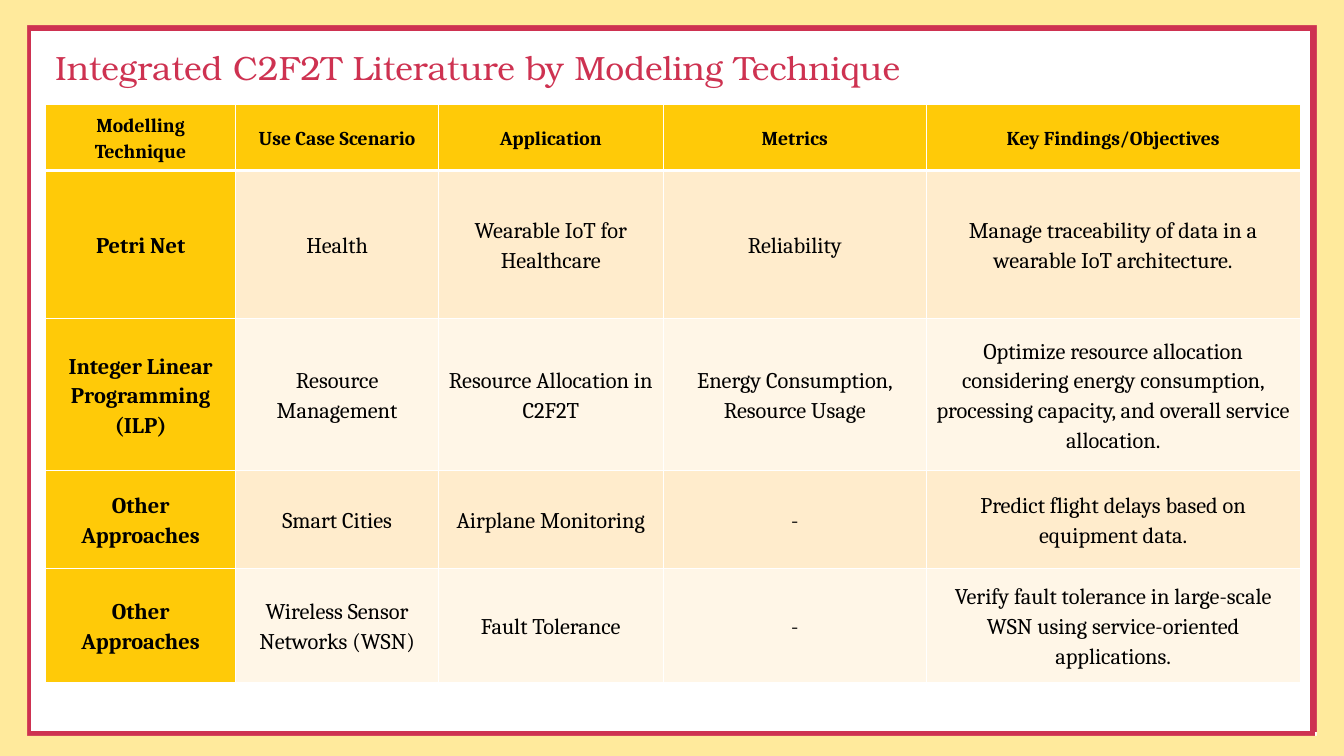
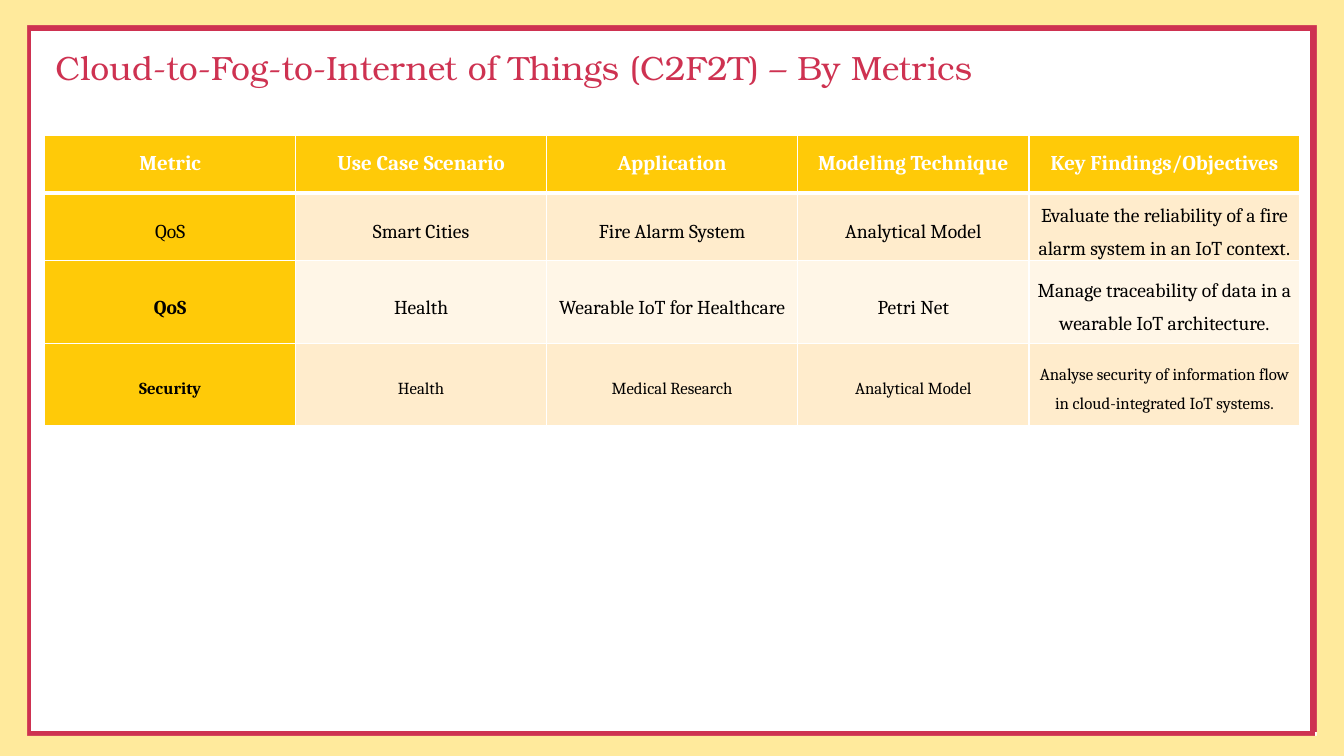
from dataclasses import dataclass

from lxml import etree
from pptx import Presentation
from pptx.dml.color import RGBColor
from pptx.enum.shapes import MSO_CONNECTOR, MSO_SHAPE
from pptx.enum.text import MSO_ANCHOR, MSO_AUTO_SIZE, PP_ALIGN
from pptx.oxml.ns import qn
from pptx.util import Pt

LINE, RECT = MSO_CONNECTOR.STRAIGHT, MSO_SHAPE.RECTANGLE
MIDDLE, NO_FIT = MSO_ANCHOR.MIDDLE, MSO_AUTO_SIZE.NONE
LEFT, CENTER = PP_ALIGN.LEFT, PP_ALIGN.CENTER

RED = RGBColor(0xCE, 0x32, 0x51)
CREAM = RGBColor(0xFF, 0xEA, 0x9C)
GOLD = RGBColor(0xFF, 0xCA, 0x08)
BAND_DARK = RGBColor(0xFF, 0xEC, 0xCC)
BAND_LIGHT = RGBColor(0xFF, 0xF6, 0xE7)
WHITE = RGBColor(0xFF, 0xFF, 0xFF)
BLACK = RGBColor(0, 0, 0)

TITLE_FONT, TABLE_FONT = "TeX Gyre Bonum", "Cambria"
SLIDE_W, SLIDE_H = 960, 540

# Slide edge bands: left, top, width, height
BANDS = [
    (0, 0, SLIDE_W, 18),
    (0, 525.6, SLIDE_W, 14.4),
    (940.6, 18, 19.4, 507.6),
    (0, 18, 19.4, 507.6),
]
# Red frame: x1, y1, x2, y2
FRAME = [
    (18.7, 524.2, 939.6, 524.2),
    (20.2, 20.2, 20.2, 525.6),
    (19.4, 20.2, 940.3, 20.2),
    (938.2, 17.3, 938.2, 522.7),
]


@dataclass
class Row:
    height: float
    size: float
    texts: list[str]
    bold_first: bool = True


@dataclass
class TableSlide:
    title: str
    left: float
    top: float
    widths: list[float]
    header_color: RGBColor
    header_spacing: float
    body_spacing: float
    rows: list[Row]


SLIDES = [
    TableSlide(
        "Integrated C2F2T Literature by Modeling Technique",
        32.4, 74.9, [136.1, 144.7, 160.6, 187.9, 267.1], BLACK, 1.15, 1.15,
        [
            Row(46.8, 14, ["Modelling Technique", "Use Case Scenario", "Application",
                           "Metrics", "Key Findings/Objectives"]),
            Row(105.8, 16, ["Petri Net", "Health", "Wearable IoT for Healthcare", "Reliability",
                            "Manage traceability of data in a wearable IoT architecture."]),
            Row(108.7, 16, ["Integer Linear Programming (ILP)", "Resource Management",
                            "Resource Allocation in C2F2T",
                            "Energy Consumption, Resource Usage",
                            "Optimize resource allocation considering energy consumption, "
                            "processing capacity, and overall service allocation."]),
            Row(69.8, 16, ["Other Approaches", "Smart Cities", "Airplane Monitoring", "-",
                           "Predict flight delays based on equipment data."]),
            Row(81.4, 16, ["Other Approaches", "Wireless Sensor Networks (WSN)",
                           "Fault Tolerance", "-",
                           "Verify fault tolerance in large-scale WSN using "
                           "service-oriented applications."]),
        ],
    ),
    TableSlide(
        "Cloud-to-Fog-to-Internet of Things (C2F2T) – By Metrics",
        31.9, 96.4, [179.3, 179.3, 179.3, 165.3, 193.5], WHITE, 1.0, 1.5,
        [
            Row(41.5, 15, ["Metric", "Use Case Scenario", "Application",
                           "Modeling Technique", "Key Findings/Objectives"]),
            Row(47.5, 14, ["QoS", "Smart Cities", "Fire Alarm System", "Analytical Model",
                           "Evaluate the reliability of a fire alarm system in an IoT context."],
                bold_first=False),
            Row(59, 14, ["QoS", "Health", "Wearable IoT for Healthcare", "Petri Net",
                         "Manage traceability of data in a wearable IoT architecture."]),
            Row(59, 12, ["Security", "Health", "Medical Research", "Analytical Model",
                         "Analyse security of information flow in cloud-integrated "
                         "IoT systems."]),
        ],
    ),
]


def add_frame(s) -> None:
    """Draw the red frame and the cream bands around the slide."""
    for ends in FRAME:
        line = s.shapes.add_connector(LINE, *map(Pt, ends))
        line.line.color.rgb = RED
        line.line.width = Pt(4.5)
        etree.SubElement(line._element.spPr, qn("a:effectLst"))
    for box in BANDS:
        band = s.shapes.add_shape(RECT, *map(Pt, box))
        band.shadow.inherit = False
        band.fill.solid()
        band.fill.fore_color.rgb = CREAM
        band.line.fill.background()


def set_title(s, text: str) -> None:
    sp = s.shapes.title
    sp.left, sp.top, sp.width, sp.height = Pt(32.4), Pt(25.2), Pt(896.4), Pt(49.7)
    tf = sp.text_frame
    tf.text = text
    tf.auto_size = NO_FIT
    tf.vertical_anchor = MIDDLE
    p = tf.paragraphs[0]
    p.alignment = LEFT
    p.line_spacing = 0.9
    p.font.name, p.font.size, p.font.color.rgb = TITLE_FONT, Pt(24), RED


def set_borders(cell, bottom: float) -> None:
    """White borders, 1 pt except for the given bottom width."""
    tc_pr = cell._tc.get_or_add_tcPr()
    for side, width in (("L", 1), ("R", 1), ("T", 1), ("B", bottom)):
        ln = etree.SubElement(tc_pr, qn(f"a:ln{side}"), w=str(Pt(width)))
        fill = etree.SubElement(ln, qn("a:solidFill"))
        etree.SubElement(fill, qn("a:srgbClr"), val=str(WHITE))


def add_table(s, spec: TableSlide) -> None:
    frame = s.shapes.add_table(
        len(spec.rows), len(spec.widths), Pt(spec.left), Pt(spec.top),
        Pt(sum(spec.widths)), Pt(sum(row.height for row in spec.rows)))
    table = frame.table
    for column, width in zip(table.columns, spec.widths):
        column.width = Pt(width)

    for i, row in enumerate(spec.rows):
        table.rows[i].height = Pt(row.height)
        header = i == 0
        band = BAND_DARK if i % 2 else BAND_LIGHT
        for j, text in enumerate(row.texts):
            cell = table.cell(i, j)
            set_borders(cell, 3 if header else 1)
            cell.fill.solid()
            cell.fill.fore_color.rgb = GOLD if header or j == 0 else band
            cell.vertical_anchor = MIDDLE
            cell.margin_left = cell.margin_right = Pt(5)
            cell.margin_top = cell.margin_bottom = 0
            cell.text = text
            p = cell.text_frame.paragraphs[0]
            p.alignment = CENTER
            p.line_spacing = spec.header_spacing if header else spec.body_spacing
            if not header:
                p.space_after = Pt(8)
            p.font.name, p.font.size = TABLE_FONT, Pt(row.size)
            p.font.bold = header or (j == 0 and row.bold_first)
            p.font.color.rgb = spec.header_color if header else BLACK


def main() -> None:
    prs = Presentation()
    prs.slide_width, prs.slide_height = Pt(SLIDE_W), Pt(SLIDE_H)
    title_only = prs.slide_layouts[5]
    for spec in SLIDES:
        s = prs.slides.add_slide(title_only)
        add_frame(s)
        set_title(s, spec.title)
        add_table(s, spec)
    prs.save("out.pptx")


if __name__ == "__main__":
    main()
